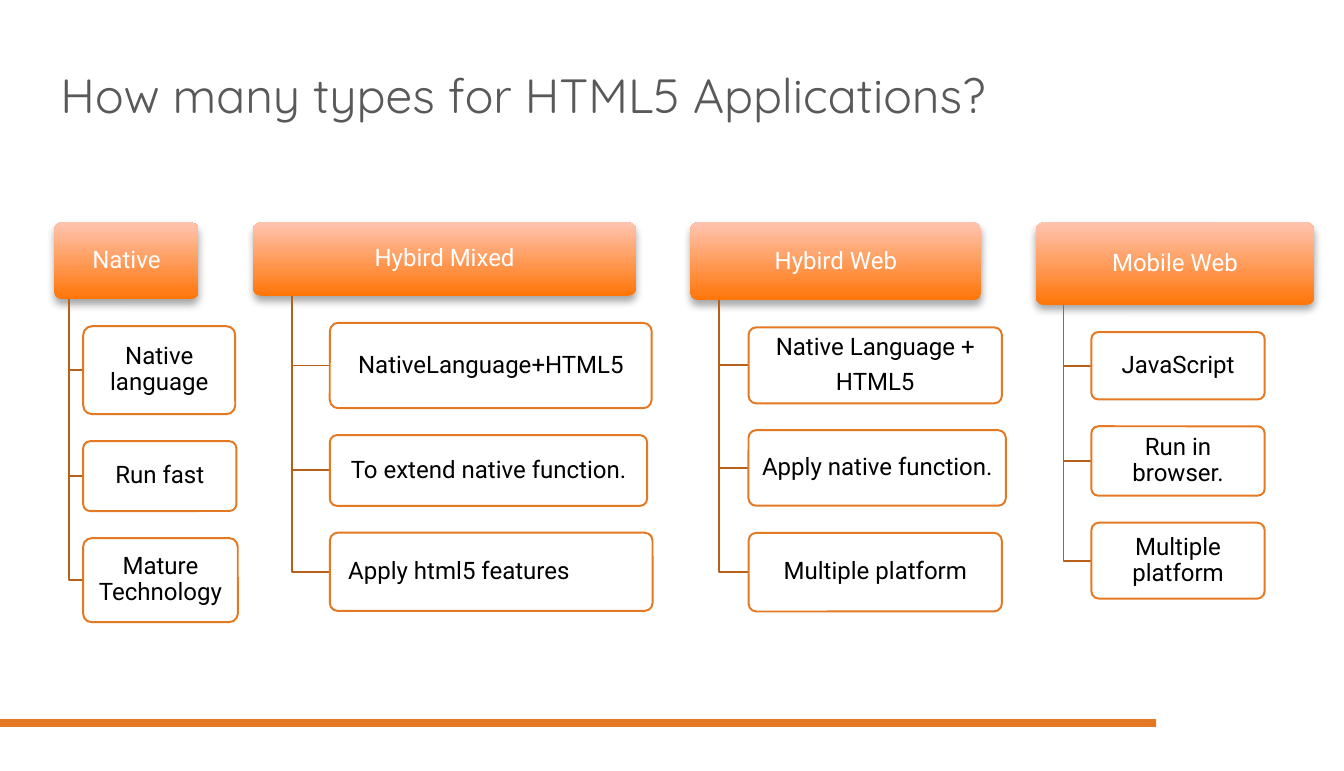
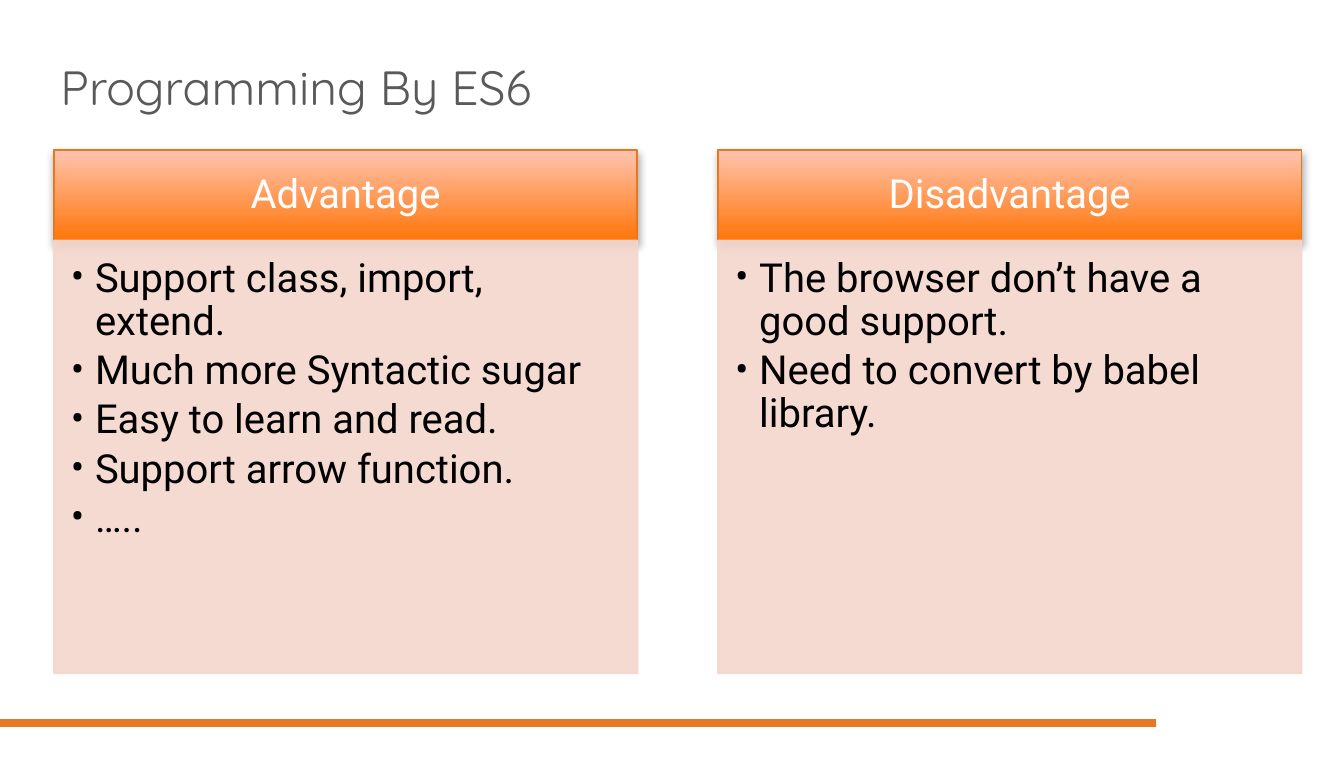
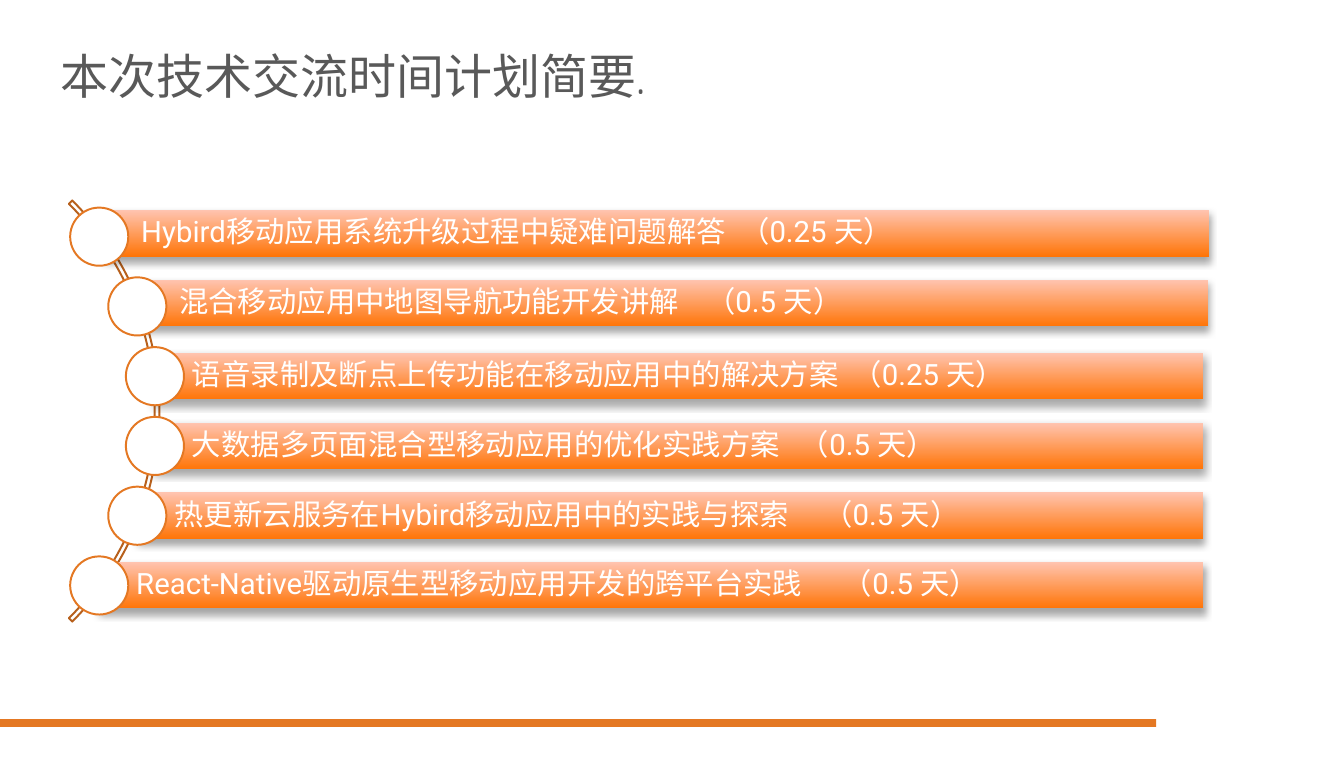
import pptx
import pptx.dml.color
import pptx.enum.shapes
import pptx.enum.text
import pptx.oxml.ns
import pptx.util
from lxml import etree

Pt = pptx.util.Pt
SHAPE = pptx.enum.shapes.MSO_SHAPE
ALIGN = pptx.enum.text.PP_ALIGN
ANCHOR = pptx.enum.text.MSO_ANCHOR
qn = pptx.oxml.ns.qn

COLORS = {
    "accent": "E47823",
    "branch": "B7601C",
    "glow_dark": "FF7508",
    "glow_light": "FFC4B0",
    "panel": "F5D6CD",
    "title": "595959",
    "ink": "000000",
    "paper": "FFFFFF",
}
TITLE_FONT = "Quicksand"
BODY_FONT = "Roboto"
MARGIN = 20.2

TREE_TOP = 83.4
LEAF_GAP = 10.1
LEAF_INSETS = (1.6, 0.8, 1.6, 0.8)
INDENTED_INSETS = (6, 0.8, 1.6, 0.8)
APP_TYPES = [
    ("Native", 20.4, 54, 28.8, [
        ("Native language", 57, 33),
        ("Run fast", 57.5, 26.2),
        ("Mature Technology", 58, 31.5),
    ]),
    ("Hybird Mixed", 95, 143.5, 27.5, [
        ("NativeLanguage+HTML5", 120.7, 32),
        ("To extend native function.", 119, 26.5),
        ("Apply html5 features", 121, 29.3),
    ]),
    ("Hybird Web", 258.9, 109.1, 29.2, [
        ("Native Language +\nHTML5", 95, 28.5),
        ("Apply native function.", 96.5, 28.3),
        ("Multiple platform", 95, 29.5),
    ]),
    ("Mobile Web", 388.4, 104.4, 31, [
        ("JavaScript", 65, 25.2),
        ("Run in browser.", 65, 26),
        ("Multiple platform", 65, 28.5),
    ]),
]
LEFT_ALIGNED_LEAVES = {"Apply html5 features"}

ES6_PANELS = [
    ("Advantage", [
        "Support class, import, extend.",
        "Much more Syntactic sugar",
        "Easy to learn and read.",
        "Support arrow function.",
        "…..",
    ]),
    ("Disadvantage", [
        "The browser don’t have a good support.",
        "Need to convert by babel library.",
    ]),
]

SCHEDULE = [
    ("Hybird移动应用系统升级过程中疑难问题解答", "（0.25 天）", 224.6, 39.1, 78.8, 453.4, 26.3),
    ("混合移动应用中地图导航功能开发讲解", "（0.5 天）", 197.6, 53.3, 104.9, 453, 40.6),
    ("语音录制及断点上传功能在移动应用中的解决方案", "（0.25 天）", 247.7, 58.1, 132.3, 451.2, 47.2),
    ("大数据多页面混合型移动应用的优化实践方案", "（0.5 天）", 228, 58.1, 158.5, 451.2, 47.2),
    ("热更新云服务在Hybird移动应用中的实践与探索", "（0.5 天）", 243.2, 51.6, 184.6, 451.2, 40.6),
    ("React-Native驱动原生型移动应用开发的跨平台实践", "（0.5 天）", 265, 37.2, 210.7, 451.2, 26.3),
]


def rgb(name):
    return pptx.dml.color.RGBColor.from_string(COLORS[name])


def add_block(slide, preset, left, top, width, height, fill=None, line=None):
    block = slide.shapes.add_shape(preset, Pt(left), Pt(top), Pt(width), Pt(height))
    block.shadow.inherit = False
    paint(block, fill, line)
    return block


def paint(block, fill, line):
    if fill:
        block.fill.solid()
        block.fill.fore_color.rgb = rgb(fill)
    else:
        block.fill.background()
    if line:
        block.line.color.rgb = rgb(line)
        block.line.width = Pt(0.75)
    else:
        block.line.fill.background()


def add_glow_block(slide, preset, left, top, width, height, line=None):
    block = add_block(slide, preset, left, top, width, height, line=line)
    block.fill.gradient()
    block.fill.gradient_angle = 90
    for stop, position, color in zip(block.fill.gradient_stops, (0, 1), ("glow_dark", "glow_light")):
        stop.position = position
        stop.color.rgb = rgb(color)
    effects = block.element.spPr.find(qn("a:effectLst"))
    shadow = etree.SubElement(effects, qn("a:outerShdw"), blurRad=str(Pt(3)),
                              dist=str(Pt(1.8)), dir="5400000", rotWithShape="0")
    shade = etree.SubElement(shadow, qn("a:srgbClr"), val=COLORS["ink"])
    etree.SubElement(shade, qn("a:alpha"), val="35000")
    return block


def fade(block, percent):
    for color in list(block.element.spPr.iter(qn("a:srgbClr"))):
        etree.SubElement(color, qn("a:alpha"), val=str(percent * 1000))


def write(block, text, size, color, insets, font=BODY_FONT, align=ALIGN.LEFT,
          anchor=ANCHOR.MIDDLE, line_spacing=0.9, after=0.35, bullet=False, tab=None):
    frame = block.text_frame
    frame.word_wrap = True
    frame.vertical_anchor = anchor
    frame.margin_left, frame.margin_top, frame.margin_right, frame.margin_bottom = map(Pt, insets)
    frame.text = text
    for paragraph in frame.paragraphs:
        if bullet:
            add_bullet(paragraph)
        if tab:
            add_tab(paragraph, tab)
        paragraph.alignment = align
        paragraph.line_spacing = line_spacing
        paragraph.space_after = Pt(size * after)
        for run in paragraph.runs:
            run.font.name = font
            run.font.size = Pt(size)
            run.font.color.rgb = rgb(color)


def add_bullet(paragraph):
    properties = paragraph._p.get_or_add_pPr()
    properties.set("marL", str(Pt(9)))
    properties.set("indent", str(Pt(-9)))
    etree.SubElement(properties, qn("a:buFont"), typeface=BODY_FONT)
    etree.SubElement(properties, qn("a:buChar"), char="•")


def add_tab(paragraph, position):
    stops = etree.SubElement(paragraph._p.get_or_add_pPr(), qn("a:tabLst"))
    etree.SubElement(stops, qn("a:tab"), pos=str(Pt(position)), algn="l")


def add_titled_slide(deck, title, title_top):
    slide = deck.slides.add_slide(deck.slide_layouts[6])
    add_block(slide, SHAPE.RECTANGLE, 0, 269.6, 433.6, 2.9, fill="accent")
    heading = slide.shapes.add_textbox(Pt(MARGIN), Pt(title_top), Pt(413.3), Pt(40.3))
    write(heading, title, 18, "title", (2.5, 2.9, 2.5, 2.9), font=TITLE_FONT,
          line_spacing=1, after=0)
    return slide


def add_branch(slide, trunk, top, leaf_left, leaf_middle):
    builder = slide.shapes.build_freeform(Pt(trunk), Pt(top))
    builder.add_line_segments(
        [(Pt(trunk), Pt(leaf_middle)), (Pt(leaf_left), Pt(leaf_middle))], close=False)
    branch = builder.convert_to_shape()
    branch.shadow.inherit = False
    paint(branch, None, "branch")


def add_tree(slide, name, left, width, height, leaves):
    header = add_glow_block(slide, SHAPE.ROUNDED_RECTANGLE, left, TREE_TOP, width, height)
    header.adjustments[0] = 0.1
    write(header, name, 9, "paper", LEAF_INSETS, align=ALIGN.CENTER)
    header_bottom = TREE_TOP + height
    leaf_left = left + width * 0.2
    leaf_top = header_bottom + LEAF_GAP
    for text, leaf_width, leaf_height in leaves:
        add_branch(slide, left + width * 0.1, header_bottom, leaf_left, leaf_top + leaf_height / 2)
        leaf = add_block(slide, SHAPE.ROUNDED_RECTANGLE, leaf_left, leaf_top,
                         leaf_width, leaf_height, "paper", "accent")
        leaf.adjustments[0] = 0.1
        if text in LEFT_ALIGNED_LEAVES:
            write(leaf, text, 9, "ink", INDENTED_INSETS)
        else:
            write(leaf, text, 9, "ink", LEAF_INSETS, align=ALIGN.CENTER)
        leaf_top += leaf_height + LEAF_GAP


def add_panel(slide, left, heading, points):
    header = add_glow_block(slide, SHAPE.RECTANGLE, left, 56.3, 218.8, 33.9, line="accent")
    write(header, heading, 15, "paper", (8.6, 5, 8.6, 5), align=ALIGN.CENTER)
    body = add_block(slide, SHAPE.RECTANGLE, left, 90.2, 218.8, 162.2, "panel", "panel")
    fade(body, 90)
    write(body, "\n".join(points), 15, "ink", (6.4, 6.4, 8.6, 9.6),
          anchor=ANCHOR.TOP, after=0.15, bullet=True)


def add_schedule(slide):
    arc = add_block(slide, SHAPE.BLOCK_ARC, -163.4, 42.5, 223.2, 223.2, line="branch")
    for index, value in enumerate((189, 27, 0.008)):
        arc.adjustments[index] = value
    for index, (topic, duration, tab, left, top, right, dot_left) in enumerate(SCHEDULE):
        bar = add_glow_block(slide, SHAPE.RECTANGLE, left, top, right - left, 17.4)
        write(bar, f"{topic}\t{duration}", 11, "paper", (13.9, 2, 2, 2), tab=tab)
        add_block(slide, SHAPE.OVAL, dot_left, 77.8 + index * 26.15, 21.8, 21.8, "paper", "accent")


def main():
    deck = pptx.Presentation()
    deck.slide_width = Pt(504)
    deck.slide_height = Pt(289)

    types_slide = add_titled_slide(deck, "How many types for HTML5 Applications?", 15.1)
    for app_type in APP_TYPES:
        add_tree(types_slide, *app_type)

    es6_slide = add_titled_slide(deck, "Programming By ES6", 12.2)
    for index, (heading, points) in enumerate(ES6_PANELS):
        add_panel(es6_slide, MARGIN + index * 249.1, heading, points)

    add_schedule(add_titled_slide(deck, "本次技术交流时间计划简要.", 7.9))

    deck.save("out.pptx")


if __name__ == "__main__":
    main()
